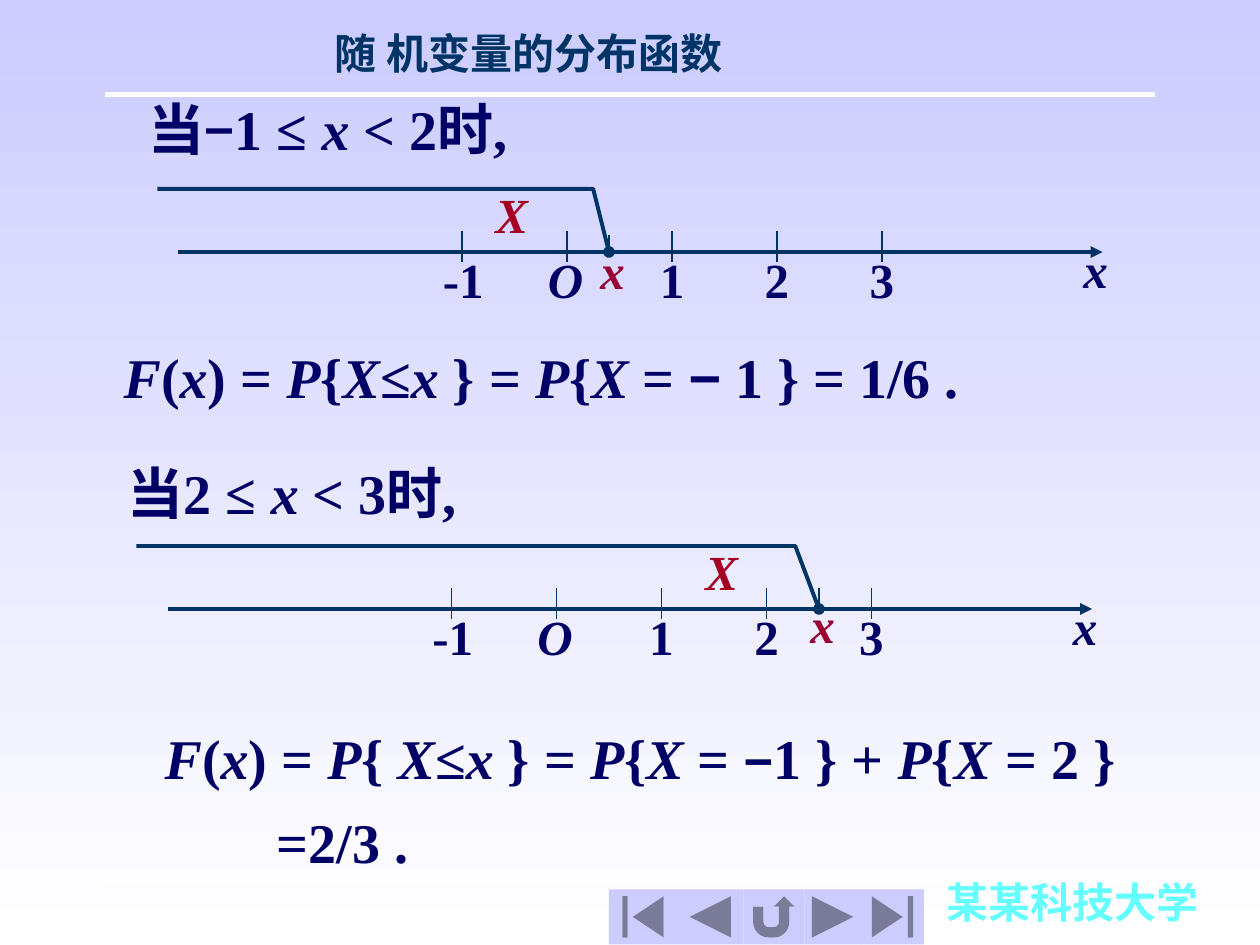
"""Build a slide on the distribution function of a random variable."""
import itertools

import lxml.etree
import pptx
import pptx.dml.color
import pptx.enum.shapes
import pptx.enum.text
import pptx.oxml.ns
import pptx.util

COLUMNS, ROWS = 120, 90
WIDTH, HEIGHT = pptx.util.Inches(10), pptx.util.Inches(7.5)
UNIT = 10
COLORS = {
    "top": "CCCCFF",
    "bottom": "FFFFFF",
    "rule": "FFFFFF",
    "axis": "003366",
    "text": "000066",
    "point": "990033",
    "variable": "A50021",
    "school": "66FFFF",
}
LEFT = pptx.enum.text.PP_ALIGN.LEFT
CENTER = pptx.enum.text.PP_ALIGN.CENTER
ACTIONS = pptx.enum.shapes.MSO_SHAPE


def rgb(name):
    return pptx.dml.color.RGBColor.from_string(COLORS[name])


def across(columns):
    return round(WIDTH * columns / COLUMNS)


def down(rows):
    return round(HEIGHT * rows / ROWS)


def place(shape, left, top, width, height):
    shape.left, shape.top = across(left), down(top)
    shape.width, shape.height = across(width), down(height)


def add_ending(shape, end, kind):
    outline = shape._element.spPr.find(pptx.oxml.ns.qn("a:ln"))
    lxml.etree.SubElement(outline, pptx.oxml.ns.qn(f"a:{end}"), type=kind)


def add_line(slide, start, end, color, width):
    line = slide.shapes.add_connector(
        pptx.enum.shapes.MSO_CONNECTOR.STRAIGHT,
        across(start[0]), down(start[1]), across(end[0]), down(end[1]))
    line.line.color.rgb = rgb(color)
    line.line.width = pptx.util.Pt(width)
    lxml.etree.SubElement(line._element.spPr, pptx.oxml.ns.qn("a:effectLst"))
    return line


def write(paragraph, markup, size, color, minus_size=29):
    """Write text in which asterisks enclose italics and minus signs are in Arial."""
    for index, part in enumerate(markup.split("*")):
        for is_minus, letters in itertools.groupby(part, lambda letter: letter == "−"):
            run = paragraph.add_run()
            run.text = "".join(letters)
            run.font.name = "Arial" if is_minus else "Times New Roman"
            run.font.size = pptx.util.Pt(minus_size if is_minus else size)
            run.font.bold = True
            run.font.italic = index % 2 == 1
            run.font.color.rgb = rgb(color)


def add_text(slide, markup, left, top, width, size=32, color="text", align=LEFT,
             before=None, minus_size=29):
    height = size * 0.24
    box = slide.shapes.add_textbox(across(left), down(top), across(width), down(height))
    frame = box.text_frame
    frame.word_wrap = True
    frame.auto_size = pptx.enum.text.MSO_AUTO_SIZE.SHAPE_TO_FIT_TEXT
    paragraph = frame.paragraphs[0]
    paragraph.alignment = align
    paragraph.space_before = pptx.util.Pt(size * 0.625 if before is None else before)
    write(paragraph, markup, size, color, minus_size)
    return box


def add_label(slide, markup, left, top, width=6, color="text", align=LEFT):
    add_text(slide, markup, left, top, width, 28, color, align)


def add_number_line(slide, origin, level, point, bend, start, variable, drop):
    """Draw an axis with the half-line up to a point, placed from its origin."""
    axis = add_line(slide, (origin - 37, level), (origin + 51, level), "axis", 2.25)
    add_ending(axis, "tailEnd", "triangle")
    add_label(slide, "*x*", origin + 48, level - 1.8)

    for value, name in enumerate(("-1", "*O*", "1", "2", "3"), start=-1):
        tick = origin + value * UNIT
        add_line(slide, (tick, level - 2), (tick, level + 1), "axis", 0.75)
        add_label(slide, name, tick - 3, level - 0.85, 7 if value < 0 else 6,
                  align=CENTER if value > 0 else LEFT)

    spot = origin + point
    add_label(slide, "*x*", spot - 2, level - 2 + drop, color="point")
    add_line(slide, (spot, level + drop), (spot, level - 2 + drop), "axis", 0.75)

    builder = slide.shapes.build_freeform(across(spot), down(level))
    builder.add_line_segments(
        [(across(spot - bend), down(level - 6)), (across(origin - start), down(level - 6))],
        close=False)
    half_line = builder.convert_to_shape()
    half_line.shadow.inherit = False
    half_line.fill.background()
    half_line.line.color.rgb = rgb("axis")
    half_line.line.width = pptx.util.Pt(2.25)
    add_ending(half_line, "headEnd", "oval")
    add_label(slide, "*X*", origin + variable, level - 7, 7, "variable")


def add_result(slide):
    box = add_text(slide, "*F*(*x*) =* P*{ *X*≤*x *} = *P*{*X *= −1 } + *P*{*X *= 2 }",
                   6.5, 67.7, 105)
    box.height = down(23.2)
    first = box.text_frame.paragraphs[0]
    second = box.text_frame.add_paragraph()
    second.space_before = first.space_before
    write(second, "=2/3 .", 32, "text")
    for paragraph, spacing, indent in ((first, 1.1, 48), (second, 0.7, 112)):
        paragraph.line_spacing = spacing
        properties = paragraph._p.get_or_add_pPr()
        properties.set("marL", str(pptx.util.Pt(indent)))
        properties.set("indent", "0")


def add_buttons(slide):
    edges = (58, 64.5, 70.8, 76.6, 82, 88)
    kinds = (ACTIONS.ACTION_BUTTON_BEGINNING, ACTIONS.ACTION_BUTTON_BACK_OR_PREVIOUS,
             ACTIONS.ACTION_BUTTON_RETURN, ACTIONS.ACTION_BUTTON_FORWARD_OR_NEXT,
             ACTIONS.ACTION_BUTTON_END)
    for kind, left, right in zip(kinds, edges, edges[1:]):
        button = slide.shapes.add_shape(
            kind, across(left), down(84.7), across(right - left), down(5.25))
        button.shadow.inherit = False
        button.fill.solid()
        button.fill.fore_color.rgb = rgb("top")
        button.line.fill.background()


def format_title(slide):
    title = slide.shapes.title
    place(title, 24, 2, 52.7, 6)
    frame = title.text_frame
    frame.vertical_anchor = pptx.enum.text.MSO_ANCHOR.TOP
    frame.auto_size = pptx.enum.text.MSO_AUTO_SIZE.SHAPE_TO_FIT_TEXT
    frame.paragraphs[0].alignment = CENTER
    write(frame.paragraphs[0], "随 机变量的分布函数", 24, "axis")


def set_background(slide):
    fill = slide.background.fill
    fill.gradient()
    fill.gradient_angle = 270
    for stop, name in zip(fill.gradient_stops, ("top", "bottom")):
        stop.color.rgb = rgb(name)


def main():
    presentation = pptx.Presentation()
    presentation.slide_width, presentation.slide_height = WIDTH, HEIGHT
    slide = presentation.slides.add_slide(presentation.slide_layouts[5])
    set_background(slide)
    for row in (84, 9):
        add_line(slide, (10, row), (110, row), "rule", 3)
    format_title(slide)
    school = add_text(slide, "某某科技大学", 89, 84.2, 26.4, 24, "school", before=0)
    school.height = down(4.56)
    school.text_frame.word_wrap = False
    school.text_frame.paragraphs[0].line_spacing = 0.7

    add_text(slide, "当−1 ≤ *x* < 2时,", 13, 8.4, 48)
    add_number_line(slide, 54, 24, point=4, bend=1.5, start=39, variable=-8, drop=0.35)
    add_text(slide, "*F*(*x*) =* P*{*X*≤*x *} = *P*{*X *= − 1 } = 1/6 .",
             10.6, 32, 101, minus_size=32)

    add_text(slide, "当2 ≤ *x* < 3时,", 11, 43.1, 94)
    add_number_line(slide, 53, 58, point=25, bend=2.25, start=40, variable=13, drop=0)
    add_result(slide)
    add_buttons(slide)
    presentation.save("out.pptx")


if __name__ == "__main__":
    main()
